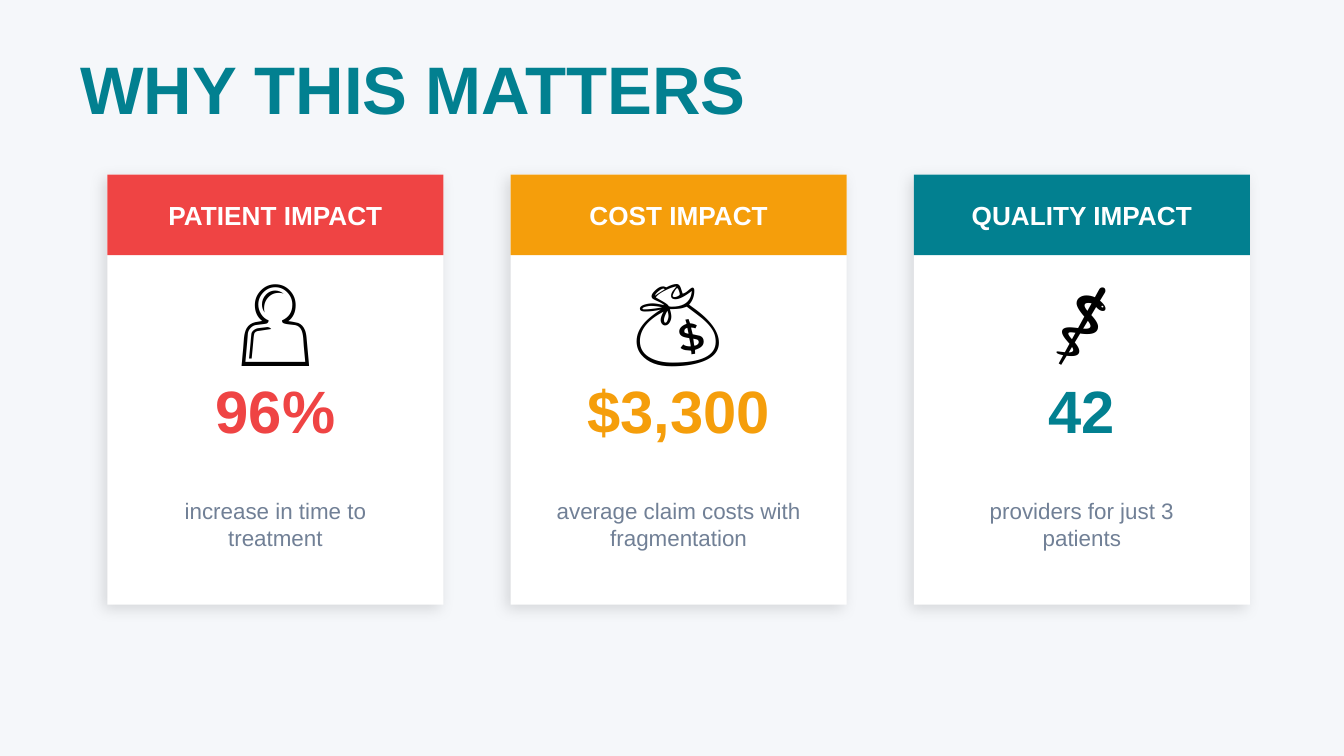
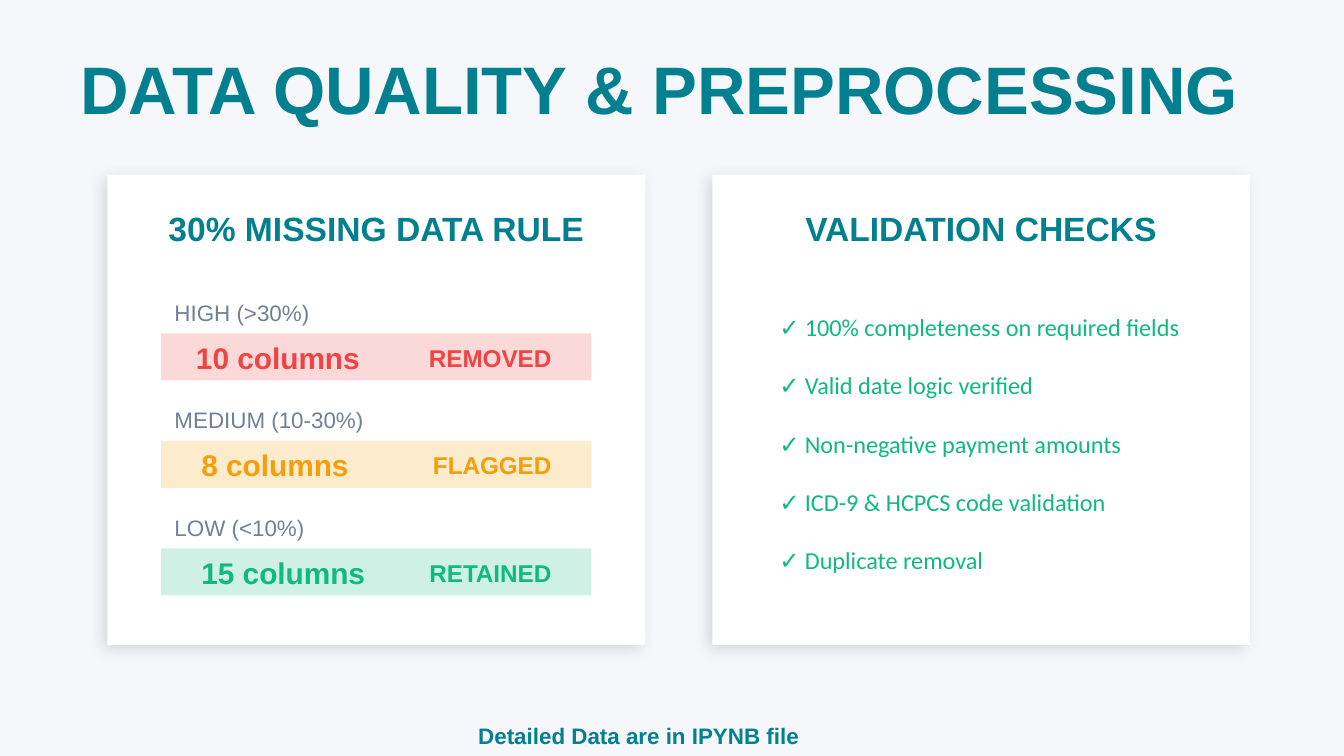
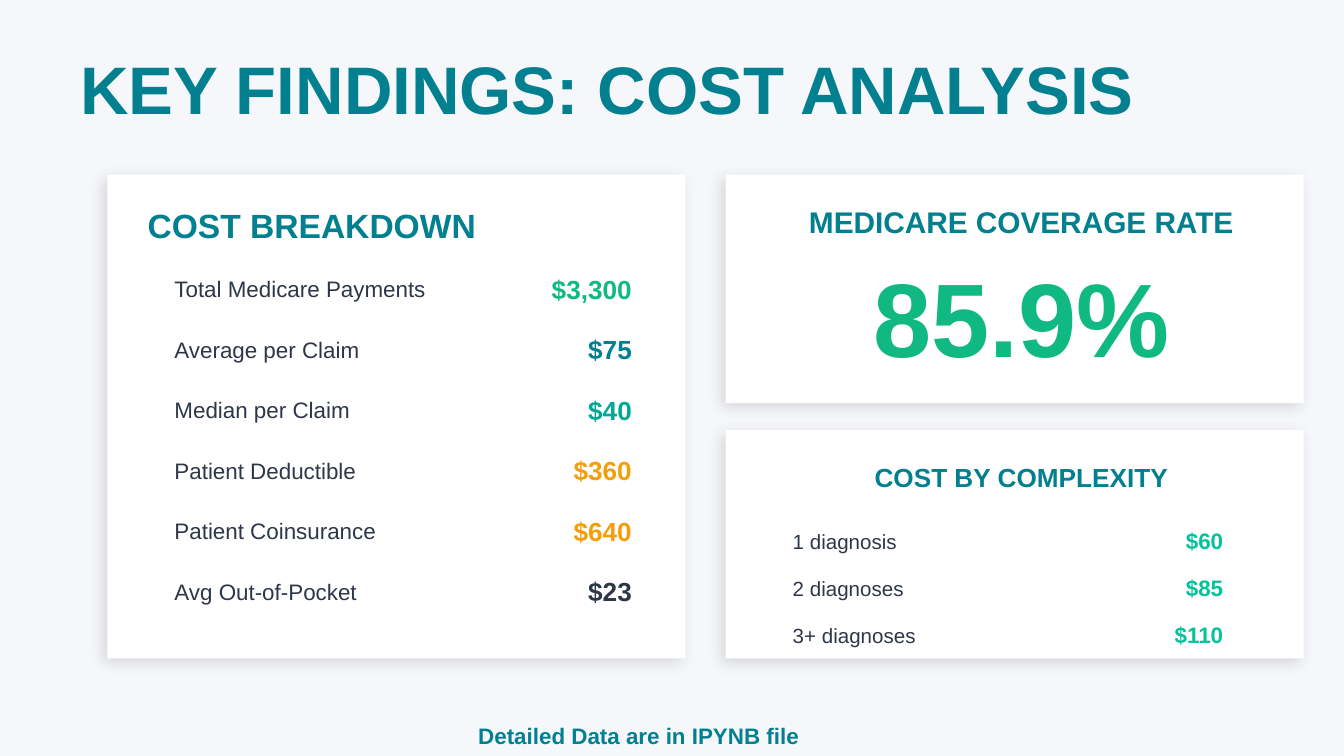
from lxml import etree
from pptx import Presentation
from pptx.dml.color import RGBColor
from pptx.enum.shapes import MSO_SHAPE
from pptx.enum.text import MSO_ANCHOR, PP_ALIGN
from pptx.oxml.ns import qn
from pptx.util import Inches, Pt

LEFT, CENTER, RIGHT = PP_ALIGN.LEFT, PP_ALIGN.CENTER, PP_ALIGN.RIGHT
MIDDLE = MSO_ANCHOR.MIDDLE
RECTANGLE = MSO_SHAPE.RECTANGLE

COLORS = {
    "background": "F5F7FA", "white": "FFFFFF", "black": "000000",
    "teal": "028090", "sea": "00A896", "mint": "02C39A", "green": "10B981",
    "red": "EF4444", "amber": "F59E0B", "gray": "718096", "ink": "2D3748",
}

FOOTER = "Detailed Data are in IPYNB file"
CARD_TOP = 1.3

IMPACTS = [
    ("PATIENT IMPACT", "👤", "96%", "increase in time to treatment", "red"),
    ("COST IMPACT", "💰", "$3,300", "average claim costs with fragmentation", "amber"),
    ("QUALITY IMPACT", "⚕️", "42", "providers for just 3 patients", "teal"),
]
# level, column count, left and width of the count, outcome, colour
MISSING_LEVELS = [
    ("HIGH (>30%)", "10 columns", 1.36, 1.51, "REMOVED", "red"),
    ("MEDIUM (10-30%)", "8 columns", 1.4, 1.47, "FLAGGED", "amber"),
    ("LOW (<10%)", "15 columns", 1.4, 1.6, "RETAINED", "green"),
]
CHECKS = [
    "✓ 100% completeness on required fields",
    "✓ Valid date logic verified",
    "✓ Non-negative payment amounts",
    "✓ ICD-9 & HCPCS code validation",
    "✓ Duplicate removal",
]
COSTS = [
    ("Total Medicare Payments", "$3,300", "green"),
    ("Average per Claim", "$75", "teal"),
    ("Median per Claim", "$40", "sea"),
    ("Patient Deductible", "$360", "amber"),
    ("Patient Coinsurance", "$640", "amber"),
    ("Avg Out-of-Pocket", "$23", "ink"),
]
COMPLEXITY = [
    ("1 diagnosis", "$60", "mint"),
    ("2 diagnoses", "$85", "mint"),
    ("3+ diagnoses", "$110", "mint"),
]


def rgb(name):
    return RGBColor.from_string(COLORS[name])


def add_text(page, text, left, top, width, height, size=12, color="teal",
             bold=False, align=LEFT, font="Arial", gap=0):
    """Add a text box; each line of text is a paragraph, gap points apart."""
    box = page.shapes.add_textbox(Inches(left), Inches(top), Inches(width), Inches(height))
    frame = box.text_frame
    frame.word_wrap = True
    frame.vertical_anchor = MIDDLE
    for index, line in enumerate(text.split("\n")):
        para = frame.add_paragraph() if index else frame.paragraphs[0]
        para.alignment = align
        if index and gap:
            para.space_before = Pt(gap)
        span = para.add_run()
        span.text = line
        span.font.name = font
        span.font.size = Pt(size)
        span.font.bold = bold
        span.font.color.rgb = rgb(color)


def add_alpha(color_element, percent):
    etree.SubElement(color_element, qn("a:alpha"), val=str(percent * 1000))


def add_rectangle(page, left, top, width, height, color, opacity=100):
    shape = page.shapes.add_shape(
        RECTANGLE, Inches(left), Inches(top), Inches(width), Inches(height))
    shape.fill.solid()
    shape.fill.fore_color.rgb = rgb(color)
    shape.line.fill.background()
    shape.shadow.inherit = False
    if opacity < 100:
        add_alpha(shape._element.spPr.find(qn("a:solidFill"))[0], opacity)
    return shape


def add_card(page, left, top, width, height):
    """Add a white panel with a soft shadow to the lower left."""
    card = add_rectangle(page, left, top, width, height, "white")
    effects = card._element.spPr.find(qn("a:effectLst"))
    shadow = etree.SubElement(
        effects, qn("a:outerShdw"), blurRad=str(Pt(8)), dist=str(Pt(3)),
        dir=str(135 * 60000), algn="bl", rotWithShape="0")
    add_alpha(etree.SubElement(shadow, qn("a:srgbClr"), val=COLORS["black"]), 12)


def add_page(deck, title):
    page = deck.slides.add_slide(deck.slide_layouts[6])
    page.background.fill.solid()
    page.background.fill.fore_color.rgb = rgb("background")
    add_text(page, title, 0.5, 0.4, 9, 0.5, size=36, bold=True)
    return page


def add_footer(page):
    add_text(page, FOOTER, 3.46, 5.22, 2.95, 0.5, bold=True)


def add_amounts(page, rows, top, pitch, height, label, amount):
    """List labels and right-aligned amounts; label and amount are (left, width, size)."""
    for index, (name, value, color) in enumerate(rows):
        row_top = top + index * pitch
        for text, (left, width, size), style in (
                (name, label, {"color": "ink"}),
                (value, amount, {"color": color, "bold": True, "align": RIGHT})):
            add_text(page, text, left, row_top, width, height, size=size, **style)


def build_impacts(deck):
    page = add_page(deck, "WHY THIS MATTERS")
    width = 2.5
    for index, (heading, icon, figure, caption, color) in enumerate(IMPACTS):
        left = 0.8 + index * 3
        add_card(page, left, CARD_TOP, width, 3.2)
        add_rectangle(page, left, CARD_TOP, width, 0.6, color)
        add_text(page, heading, left, 1.4, width, 0.4, size=14, color="white",
                 bold=True, align=CENTER)
        add_text(page, icon, left, 2.1, width, 0.5, size=48, color="black",
                 align=CENTER, font="Calibri")
        add_text(page, figure, left, 2.8, width, 0.5, size=32, color=color,
                 bold=True, align=CENTER)
        add_text(page, caption, left + 0.2, 3.5, width - 0.4, 0.8, color="gray", align=CENTER)


def add_quality_card(page, left, heading):
    add_card(page, left, CARD_TOP, 4, 3.5)
    add_text(page, heading, left + 0.2, 1.5, 3.6, 0.4, size=18, bold=True, align=CENTER)


def build_quality(deck):
    page = add_page(deck, "DATA QUALITY & PREPROCESSING")
    add_quality_card(page, 0.8, "30% MISSING DATA RULE")
    for index, (level, count, left, width, outcome, color) in enumerate(MISSING_LEVELS):
        top = 2.2 + index * 0.8
        add_text(page, level, 1.2, top, 2, 0.25, color="gray")
        add_rectangle(page, 1.2, top + 0.28, 3.2, 0.35, color, opacity=20)
        add_text(page, count, left, top + 0.31, width, 0.3, size=16, color=color, bold=True)
        add_text(page, outcome, 3, top + 0.31, 1.2, 0.3, size=13, color=color,
                 bold=True, align=RIGHT)
    add_quality_card(page, 5.3, "VALIDATION CHECKS")
    add_text(page, "\n".join(CHECKS), 5.7, 2.2, 3.3, 2.2, size=13, color="green",
             font="Calibri", gap=15.6)
    add_footer(page)


def build_costs(deck):
    page = add_page(deck, "KEY FINDINGS: COST ANALYSIS")
    add_card(page, 0.8, CARD_TOP, 4.3, 3.6)
    add_text(page, "COST BREAKDOWN", 1, 1.5, 4, 0.35, size=18, bold=True)
    add_amounts(page, COSTS, 2, 0.45, 0.3, label=(1.2, 2.5, 12), amount=(3.8, 1, 14))
    for top, heading, size in ((CARD_TOP, "MEDICARE COVERAGE RATE", 16),
                               (3.2, "COST BY COMPLEXITY", 14)):
        add_card(page, 5.4, top, 4.3, 1.7)
        add_text(page, heading, 5.6, top + 0.2, 4, 0.3, size=size, bold=True, align=CENTER)
    add_text(page, "85.9%", 5.6, 2, 4, 0.7, size=56, color="green", bold=True, align=CENTER)
    add_amounts(page, COMPLEXITY, 3.9, 0.35, 0.25, label=(5.8, 2, 11), amount=(8, 1.2, 12))
    add_footer(page)


def main():
    deck = Presentation()
    deck.slide_width = Inches(10)
    deck.slide_height = deck.slide_width * 9 // 16
    build_impacts(deck)
    build_quality(deck)
    build_costs(deck)
    deck.save("out.pptx")


if __name__ == "__main__":
    main()
